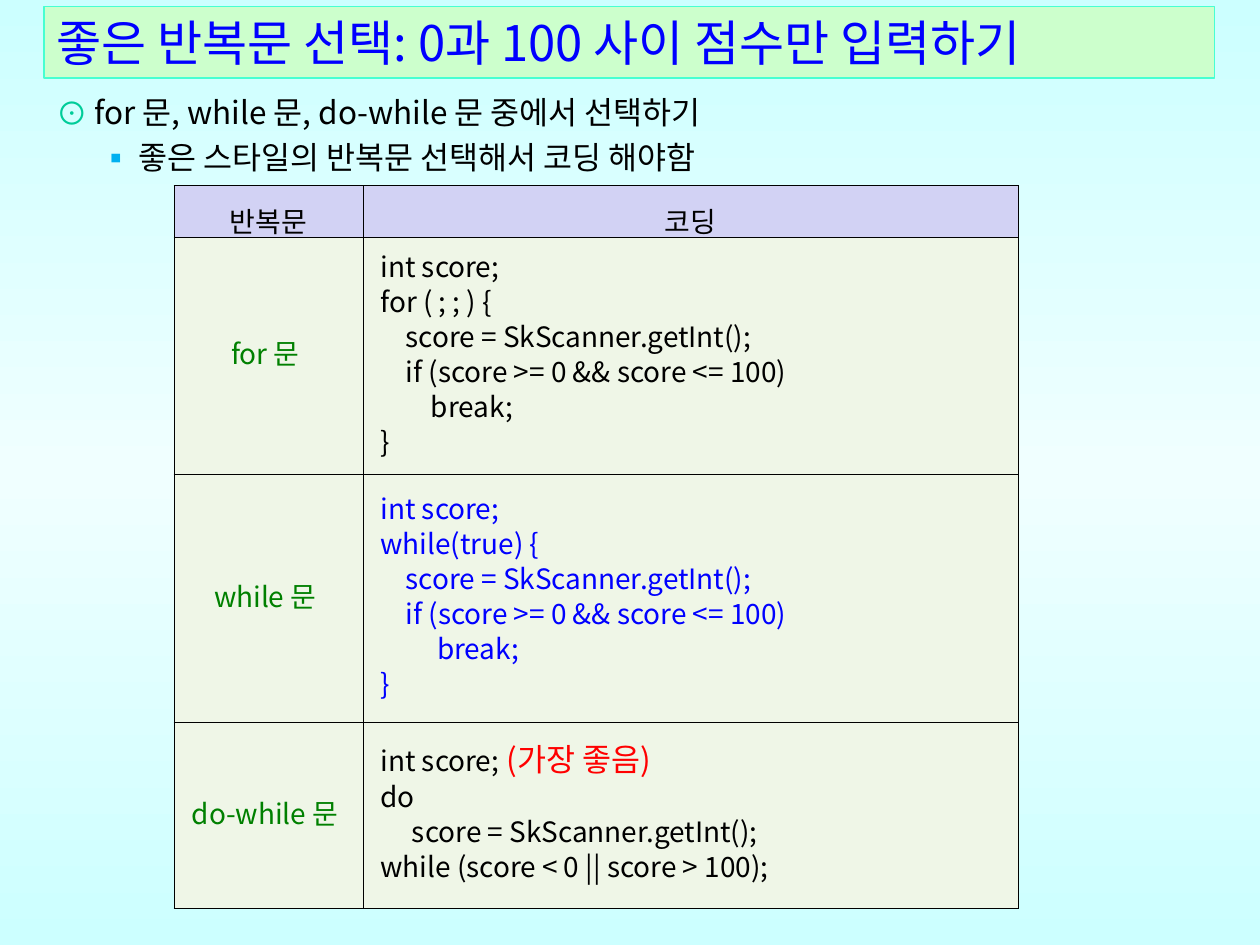
"""Builds a slide comparing for, while and do-while loops for reading a valid score."""
from copy import deepcopy
from dataclasses import dataclass

from lxml import etree
from pptx import Presentation
from pptx.dml.color import RGBColor
from pptx.enum.shapes import MSO_SHAPE
from pptx.enum.text import MSO_ANCHOR, MSO_AUTO_SIZE, PP_ALIGN
from pptx.oxml.ns import qn
from pptx.util import Inches, Pt

RECT = MSO_SHAPE.RECTANGLE
TOP, MIDDLE = MSO_ANCHOR.TOP, MSO_ANCHOR.MIDDLE
GROW = MSO_AUTO_SIZE.SHAPE_TO_FIT_TEXT
LEFT, CENTER, JUSTIFY = PP_ALIGN.LEFT, PP_ALIGN.CENTER, PP_ALIGN.JUSTIFY

FONT = "Noto Sans CJK KR"
BLACK = RGBColor(0, 0, 0)
BLUE = RGBColor(0, 0, 0xFF)
GREEN = RGBColor(0, 0x80, 0)
RED = RGBColor(0xFF, 0, 0)
TEAL = RGBColor(0, 0xCC, 0x99)
SKY = RGBColor(0, 0xB0, 0xF0)
TITLE_FILL = RGBColor(0xCC, 0xFF, 0xCC)
TITLE_LINE = RGBColor(0x47, 0xFF, 0xD1)
HEADER_FILL = RGBColor(0xD2, 0xD2, 0xF4)
BODY_FILL = RGBColor(0xEF, 0xF6, 0xE7)
EDGE = RGBColor(0xCC, 0xFF, 0xFF)
MIDDLE_GLOW = RGBColor(0xF0, 0xFF, 0xFF)

COLUMNS = (1.5, 5.2)
ROWS = (0.41, 1.88, 1.97, 1.48)
CODE_MARGIN = 0.07
SPACE = 0.05
NOTE_TAB = 2.95


@dataclass
class Bullet:
    char: str
    color: RGBColor
    margin: float
    text: str


@dataclass
class Loop:
    label: str
    color: RGBColor
    code: list[tuple[int, str]]
    note: str = ""


BULLETS = [
    Bullet("⊙", TEAL, 0.3, "for 문, while 문, do-while 문 중에서 선택하기"),
    Bullet("▪", SKY, 0.65, "좋은 스타일의 반복문 선택해서 코딩 해야함"),
]
READ = "score = SkScanner.getInt();"
CHECK = "if (score >= 0 && score <= 100)"
LOOPS = [
    Loop("for 문 ", BLACK, [(0, "int score;"), (0, "for ( ; ; ) {"), (4, READ),
                           (4, CHECK), (8, "break;"), (0, "}")]),
    Loop("while 문 ", BLUE, [(0, "int score;"), (0, "while(true) {"), (4, READ),
                            (4, CHECK), (9, "break;"), (0, "}")]),
    Loop("do-while 문 ", BLACK, [(0, "int score;"), (0, "do"), (5, READ),
                                (0, "while (score < 0 || score > 100);")], "(가장 좋음)"),
]


def add_run(p, text: str, size: float, color: RGBColor) -> None:
    r = p.add_run()
    r.text = text
    for name, value in {"name": FONT, "size": Pt(size)}.items():
        setattr(r.font, name, value)
    r.font.color.rgb = color
    etree.SubElement(r.font._element, qn("a:ea"), typeface=FONT)


def next_paragraph(tf, index: int, align, spacing):
    p = tf.add_paragraph() if index else tf.paragraphs[0]
    for name, value in {"alignment": align, "line_spacing": spacing}.items():
        setattr(p, name, value)
    return p


def set_indent(p, margin: float, indent: float = 0):
    pPr = p._p.get_or_add_pPr()
    pPr.set("marL", str(Inches(margin)))
    pPr.set("indent", str(Inches(indent)))
    return pPr


def set_background(s) -> None:
    fill = s.background.fill
    fill.gradient()
    fill.gradient_angle = 90
    gs_list = s._element.find(".//" + qn("a:gsLst"))
    gs_list.append(deepcopy(gs_list[-1]))
    for stop, position, color in zip(fill.gradient_stops, (0, 0.5, 1),
                                     (EDGE, MIDDLE_GLOW, EDGE)):
        stop.position = position
        stop.color.rgb = color


def add_title(s, text: str) -> None:
    sp = s.shapes.add_shape(RECT, Inches(0.35), Inches(0.05), Inches(9.29), Inches(0.57))
    sp.shadow.inherit = False
    sp.fill.solid()
    sp.fill.fore_color.rgb = TITLE_FILL
    sp.line.color.rgb = TITLE_LINE
    sp.line.width = Pt(0.75)
    tf = sp.text_frame
    for name, value in {"word_wrap": True, "auto_size": GROW, "vertical_anchor": TOP}.items():
        setattr(tf, name, value)
    add_run(next_paragraph(tf, 0, LEFT, 1.0), text, 28, BLUE)


def add_bullets(s, bullets: list[Bullet]) -> None:
    tf = s.shapes.add_textbox(Inches(0.35), Inches(0.63), Inches(6.4), Inches(0.83)).text_frame
    tf.word_wrap = True
    tf.auto_size = GROW
    for i, bullet in enumerate(bullets):
        p = next_paragraph(tf, i, JUSTIFY, 1.2)
        pPr = set_indent(p, bullet.margin, -0.3)
        color = etree.SubElement(pPr, qn("a:buClr"))
        etree.SubElement(color, qn("a:srgbClr"), val=str(bullet.color))
        etree.SubElement(pPr, qn("a:buFont"), typeface=FONT)
        etree.SubElement(pPr, qn("a:buChar"), char=bullet.char)
        add_run(p, bullet.text, 18, BLACK)


def format_cell(cell, color: RGBColor) -> None:
    cell.fill.solid()
    cell.fill.fore_color.rgb = color
    for name, value in {"margin_left": Inches(0.07), "margin_right": Inches(0.07),
                        "margin_top": Inches(0.02), "margin_bottom": Inches(0.02),
                        "vertical_anchor": MIDDLE}.items():
        setattr(cell, name, value)
    tcPr = cell._tc.get_or_add_tcPr()
    for i, side in enumerate(("lnL", "lnR", "lnT", "lnB")):
        line = etree.Element(qn("a:" + side), w=str(Pt(0.28)))
        fill = etree.SubElement(line, qn("a:solidFill"))
        etree.SubElement(fill, qn("a:srgbClr"), val=str(BLACK))
        tcPr.insert(i, line)


def add_label(cell, text: str, color: RGBColor, spacing) -> None:
    add_run(next_paragraph(cell.text_frame, 0, CENTER, spacing), text, 16, color)


def add_code(cell, loop: Loop) -> None:
    for i, (spaces, text) in enumerate(loop.code):
        p = next_paragraph(cell.text_frame, i, JUSTIFY, Pt(20))
        pPr = set_indent(p, CODE_MARGIN + SPACE * spaces)
        add_run(p, text, 16, loop.color)
        if loop.note and i == 0:
            tabs = etree.SubElement(pPr, qn("a:tabLst"))
            etree.SubElement(tabs, qn("a:tab"), pos=str(Inches(NOTE_TAB)), algn="l")
            add_run(p, "\t" + loop.note, 18, RED)


def add_loops(s, loops: list[Loop]) -> None:
    table = s.shapes.add_table(len(ROWS), len(COLUMNS), Inches(1.38), Inches(1.47),
                               Inches(sum(COLUMNS)), Inches(sum(ROWS))).table
    for column, width in zip(table.columns, COLUMNS):
        column.width = Inches(width)
    for i, height in enumerate(ROWS):
        table.rows[i].height = Inches(height)
        for cell in table.rows[i].cells:
            format_cell(cell, BODY_FILL if i else HEADER_FILL)
    for j, heading in enumerate(("반복문", "코딩")):
        add_label(table.cell(0, j), heading, BLACK, 1.3)
    for i, loop in enumerate(loops, 1):
        add_label(table.cell(i, 0), loop.label, GREEN, Pt(20))
        add_code(table.cell(i, 1), loop)


prs = Presentation()
prs.slide_width, prs.slide_height = Inches(10), Inches(7.5)
s = prs.slides.add_slide(prs.slide_layouts[6])
set_background(s)
add_title(s, "좋은 반복문 선택: 0과 100 사이 점수만 입력하기")
add_loops(s, LOOPS)
add_bullets(s, BULLETS)
prs.save("out.pptx")
